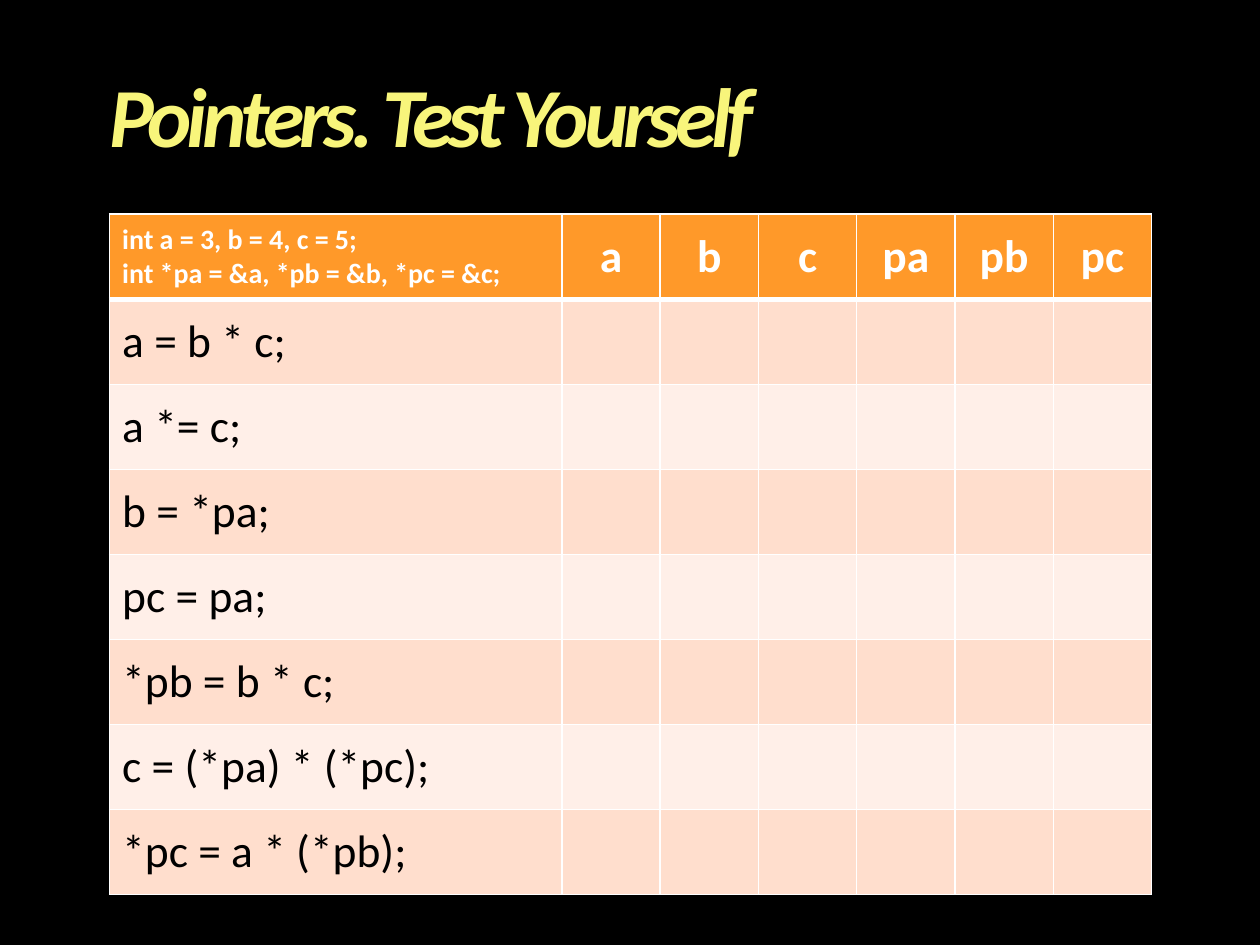
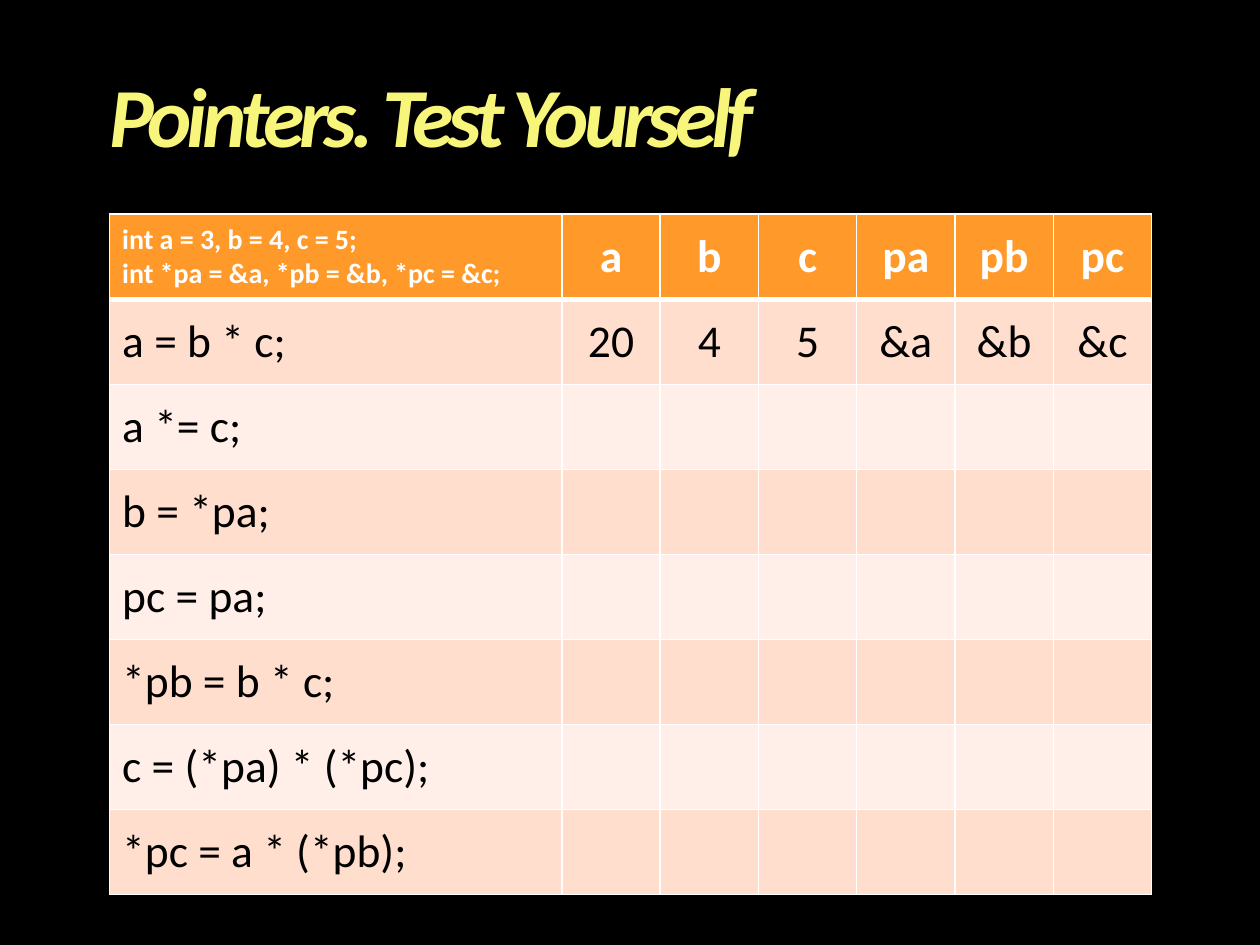
from lxml.etree import SubElement
from pptx import Presentation
from pptx.dml.color import RGBColor
from pptx.enum.text import MSO_ANCHOR as Anchor, PP_ALIGN as Align
from pptx.oxml.ns import qn
from pptx.util import Inches, Pt

BLACK = RGBColor(0x00, 0x00, 0x00)
WHITE = RGBColor(0xFF, 0xFF, 0xFF)
ORANGE = RGBColor(0xFF, 0x99, 0x29)
PEACH = RGBColor(0xFF, 0xDE, 0xCD)
PALE_PEACH = RGBColor(0xFF, 0xEF, 0xE8)
TITLE_STOPS = [
    (0, RGBColor(0xFF, 0xEB, 0xD4)),
    (28, RGBColor(0xF8, 0xF5, 0x7B)),
    (62, RGBColor(0xD5, 0xB9, 0x53)),
    (88, RGBColor(0xD1, 0x94, 0x3B)),
]
FONT = "Calibri"
TITLE = "Pointers. Test Yourself"
TITLE_BOX = (Inches(0.87), Inches(0.6), Inches(8.27), Inches(0.71))
TABLE_BOX = (Inches(0.87), Inches(1.7), Inches(8.27), Inches(5.4))
STATEMENT_WIDTH = Inches(3.59)
DECLARATIONS = "int a = 3, b = 4, c = 5;\nint *pa = &a, *pb = &b, *pc = &c;"
VARIABLES = ["a", "b", "c", "pa", "pb", "pc"]
STATEMENTS = [
    "a = b * c;",
    "a *= c;",
    "b = *pa;",
    "pc = pa;",
    "*pb = b * c;",
    "c = (*pa) * (*pc);",
    "*pc = a * (*pb);",
]
ANSWERS = ["20", "4", "5", "&a", "&b", "&c"]


def style_font(font, size, bold):
    """Set the shared typeface with a size and weight."""
    font.name = FONT
    font.size = Pt(size)
    font.bold = bold


def add_title(slide, box):
    """Place the gradient title in the box."""
    frame = slide.shapes.add_textbox(*box).text_frame
    frame.word_wrap = True
    frame.vertical_anchor = Anchor.MIDDLE
    frame.margin_left = frame.margin_top = 0
    frame.margin_right = frame.margin_bottom = 0
    frame.text = TITLE
    paragraph = frame.paragraphs[0]
    paragraph.line_spacing = 0.9
    space_before = SubElement(paragraph._p.get_or_add_pPr(), qn("a:spcBef"))
    SubElement(space_before, qn("a:spcPct"), val="20000")
    font = paragraph.runs[0].font
    style_font(font, 48, True)
    font.italic = True
    properties = paragraph.runs[0]._r.get_or_add_rPr()
    properties.set("spc", "-300")
    gradient = SubElement(properties, qn("a:gradFill"))
    stops = SubElement(gradient, qn("a:gsLst"))
    for position, color in TITLE_STOPS:
        stop = SubElement(stops, qn("a:gs"), pos=str(position * 1000))
        SubElement(stop, qn("a:srgbClr"), val=str(color))
    SubElement(gradient, qn("a:lin"), ang="5400000", scaled="0")
    properties.insert(0, gradient)


def add_borders(cell, top, bottom):
    """Draw white borders, with the given top and bottom widths in points."""
    properties = cell._tc.get_or_add_tcPr()
    for side, width in (("L", 1), ("R", 1), ("T", top), ("B", bottom)):
        border = SubElement(properties, qn(f"a:ln{side}"), w=str(Pt(width)))
        fill = SubElement(border, qn("a:solidFill"))
        SubElement(fill, qn("a:srgbClr"), val=str(WHITE))


def fill_cell(cell, text, row, column):
    """Write and style one cell according to its place in the grid."""
    header = row == 0
    add_borders(cell, 3 if row == 1 else 1, 3 if header else 1)
    cell.fill.solid()
    cell.fill.fore_color.rgb = ORANGE if header else PEACH if row % 2 else PALE_PEACH
    cell.vertical_anchor = Anchor.MIDDLE
    cell.text_frame.text = text
    for paragraph in cell.text_frame.paragraphs:
        paragraph.alignment = Align.CENTER if column else Align.LEFT
        for run in paragraph.runs:
            style_font(run.font, 16 if header and column == 0 else 26, header)
            run.font.color.rgb = WHITE if header else BLACK


def add_trace_table(slide, box, answers):
    """Place the statement table in the box, with the answered rows filled in."""
    blank = [""] * len(VARIABLES)
    rows = [[DECLARATIONS, *VARIABLES]]
    for index, statement in enumerate(STATEMENTS):
        rows.append([statement, *(answers[index] if index < len(answers) else blank)])
    table = slide.shapes.add_table(len(rows), len(rows[0]), *box).table
    width, height = box[2:]
    for column, table_column in enumerate(table.columns):
        value_width = (width - STATEMENT_WIDTH) // len(VARIABLES)
        table_column.width = value_width if column else STATEMENT_WIDTH
    for row, texts in enumerate(rows):
        table.rows[row].height = height // len(rows)
        for column, text in enumerate(texts):
            fill_cell(table.cell(row, column), text, row, column)


def add_quiz_slide(deck, answers):
    """Add a black slide with the title and the table."""
    slide = deck.slides.add_slide(deck.slide_layouts[6])
    slide.background.fill.solid()
    slide.background.fill.fore_color.rgb = BLACK
    add_title(slide, TITLE_BOX)
    add_trace_table(slide, TABLE_BOX, answers)


def main():
    """Build and save the two quiz slides."""
    deck = Presentation()
    deck.slide_width = Inches(10)
    deck.slide_height = Inches(7.5)
    for answers in ([], [ANSWERS]):
        add_quiz_slide(deck, answers)
    deck.save("out.pptx")


main()
